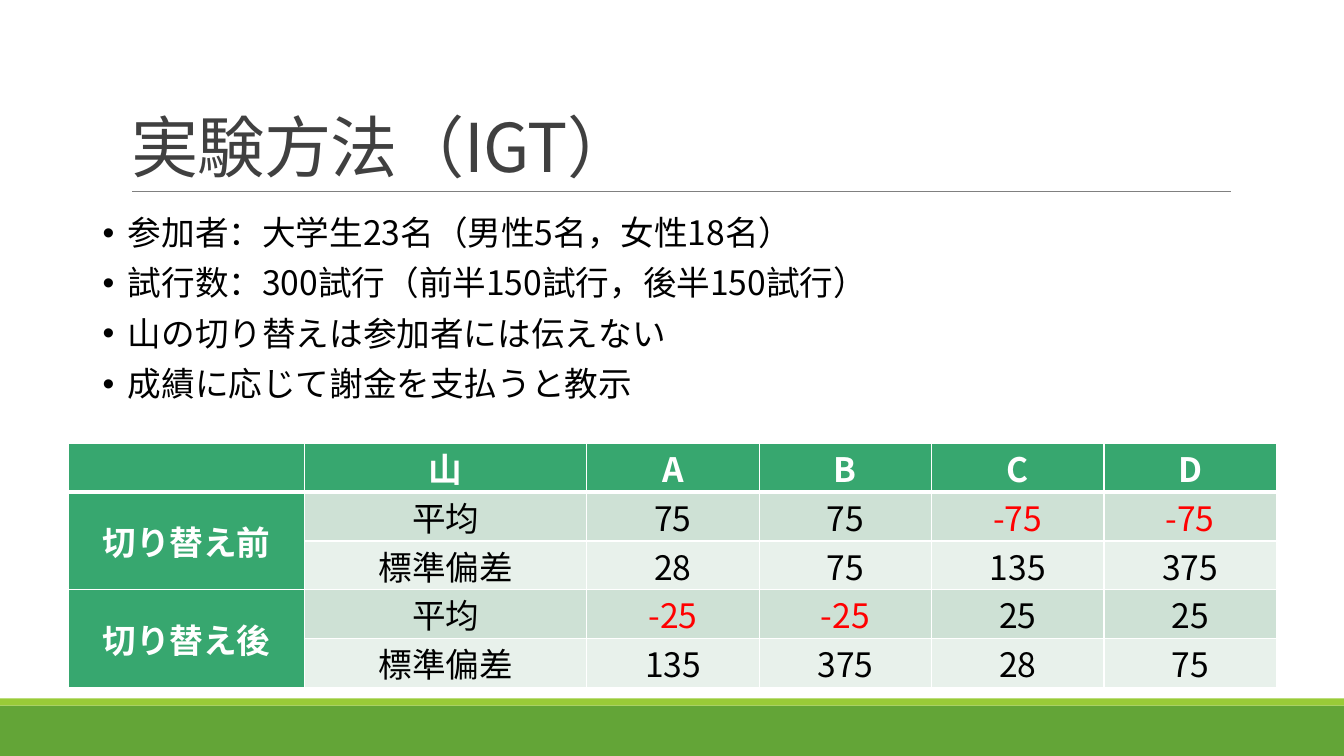
from lxml.etree import SubElement
from pptx import Presentation
from pptx.dml.color import RGBColor
from pptx.enum.shapes import MSO_CONNECTOR as Connector, MSO_SHAPE as Shape
from pptx.enum.text import MSO_ANCHOR as Anchor, MSO_AUTO_SIZE as AutoSize, PP_ALIGN as Align
from pptx.oxml.ns import qn
from pptx.util import Inches, Pt

FONT = "Noto Sans CJK JP"
GREEN, WHITE, BLACK, RED = "37A76F", "FFFFFF", "000000", "FF0000"


def paint(fill, color):
    fill.solid()
    fill.fore_color.rgb = RGBColor.from_string(color)


def write(paragraph, text, size=24, color=BLACK, bold=False, align=None, spacing=None, before=0):
    paragraph.alignment = align
    paragraph.line_spacing = spacing
    paragraph.space_before = Pt(before)
    run = paragraph.add_run()
    run.text = text
    run.font.size = Pt(size)
    run.font.bold = bold
    run.font.name = FONT
    paint(run.font.fill, color)
    SubElement(run.font._element, qn("a:ea")).set("typeface", FONT)
    return run


prs = Presentation()
prs.slide_width, prs.slide_height = Inches(13.33), Inches(7.5)
slide = prs.slides.add_slide(prs.slide_layouts[5])
shapes = slide.shapes

# Footer bands
for top, height, color in [(7, 0.5, "63A537"), (6.93, 0.07, "99CB38")]:
    band = shapes.add_shape(Shape.RECTANGLE, 0, Inches(top), prs.slide_width, Inches(height))
    band.shadow.inherit = False
    paint(band.fill, color)
    band.line.fill.background()

# Title and the rule under it
rule = shapes.add_connector(Connector.STRAIGHT, Inches(1.31), Inches(1.9), Inches(12.21), Inches(1.9))
rule.line.width = Pt(0.5)
paint(rule.line.fill, "808080")
SubElement(rule._element.spPr, qn("a:effectLst"))

title = shapes.title
title.left, title.top, title.width, title.height = Inches(1.2), Inches(0.31), Inches(11), Inches(1.59)
title.text_frame.vertical_anchor = Anchor.BOTTOM
title.text_frame.auto_size = AutoSize.NONE
heading = write(title.text_frame.paragraphs[0], "実験方法（IGT）", size=48, color="404040",
                align=Align.LEFT, spacing=0.85)
heading.font._element.set("spc", "-50")

# Payoff table
rows = [
    ["", "山", "A", "B", "C", "D"],
    ["切り替え前", "平均", "75", "75", "-75", "-75"],
    ["", "標準偏差", "28", "75", "135", "375"],
    ["切り替え後", "平均", "-25", "-25", "25", "25"],
    ["", "標準偏差", "135", "375", "28", "75"],
]
widths = [2.34, 2.8] + [1.71] * 4
payoffs = shapes.add_table(len(rows), len(widths), Inches(0.68), Inches(4.4),
                           Inches(11.98), Inches(2.33)).table
for column, width in zip(payoffs.columns, widths):
    column.width = Inches(width)
for r, row in enumerate(rows):
    payoffs.rows[r].height = Inches(2.33 / len(rows))
    for c, text in enumerate(row):
        cell = payoffs.cell(r, c)
        is_header = r == 0 or c == 0
        cell.vertical_anchor = Anchor.MIDDLE
        cell.margin_left = cell.margin_right = Inches(0.07)
        cell.margin_top = cell.margin_bottom = 0
        # White borders, thicker under the header row
        for side in ("lnL", "lnR", "lnT", "lnB"):
            thick = (r, side) in [(0, "lnB"), (1, "lnT")]
            border = SubElement(cell._tc.get_or_add_tcPr(), qn(f"a:{side}"), w=str(Pt(3 if thick else 1)))
            SubElement(SubElement(border, qn("a:solidFill")), qn("a:srgbClr"), val=WHITE)
        paint(cell.fill, GREEN if is_header else "CEE1D5" if r % 2 else "E8F1EB")
        if text:
            color = WHITE if is_header else RED if text.startswith("-") else BLACK
            write(cell.text_frame.paragraphs[0], text, color=color, bold=is_header, align=Align.CENTER)
for r in (1, 3):
    payoffs.cell(r, 0).merge(payoffs.cell(r + 1, 0))

# Procedure bullets
procedure = shapes.add_textbox(Inches(0.92), Inches(2.1), Inches(11.5), Inches(2.07)).text_frame
procedure.word_wrap = True
points = [
    "参加者：大学生23名（男性5名，女性18名）",
    "試行数：300試行（前半150試行，後半150試行）",
    "山の切り替えは参加者には伝えない",
    "成績に応じて謝金を支払うと教示",
]
for i, point in enumerate(points):
    paragraph = procedure.add_paragraph() if i else procedure.paragraphs[0]
    write(paragraph, point, spacing=0.9, before=10)
    properties = paragraph._p.get_or_add_pPr()
    properties.set("marL", str(Inches(0.25)))
    properties.set("indent", str(Inches(-0.25)))
    SubElement(properties, qn("a:buFont"), typeface="Arial")
    SubElement(properties, qn("a:buChar"), char="•")

prs.save("out.pptx")
